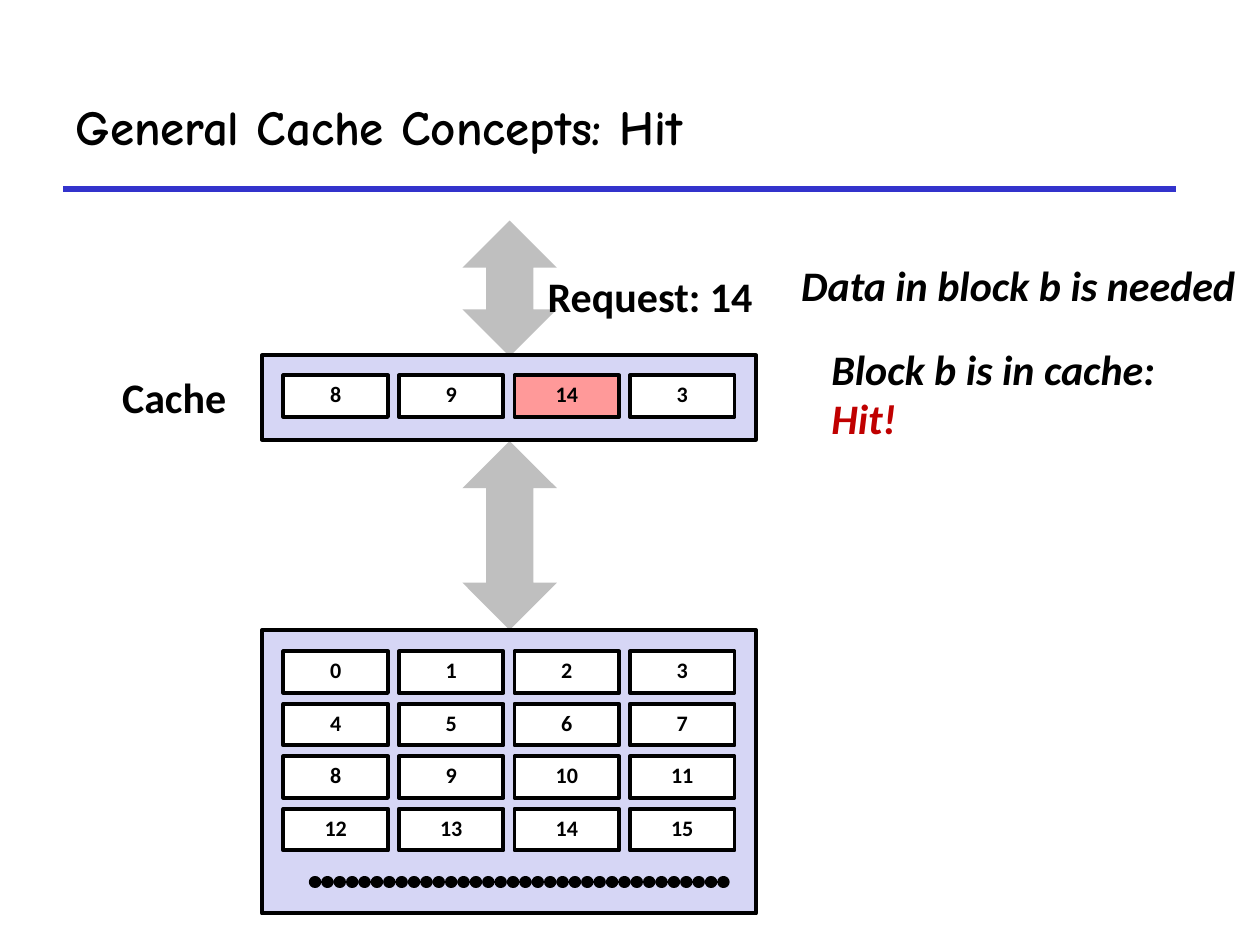
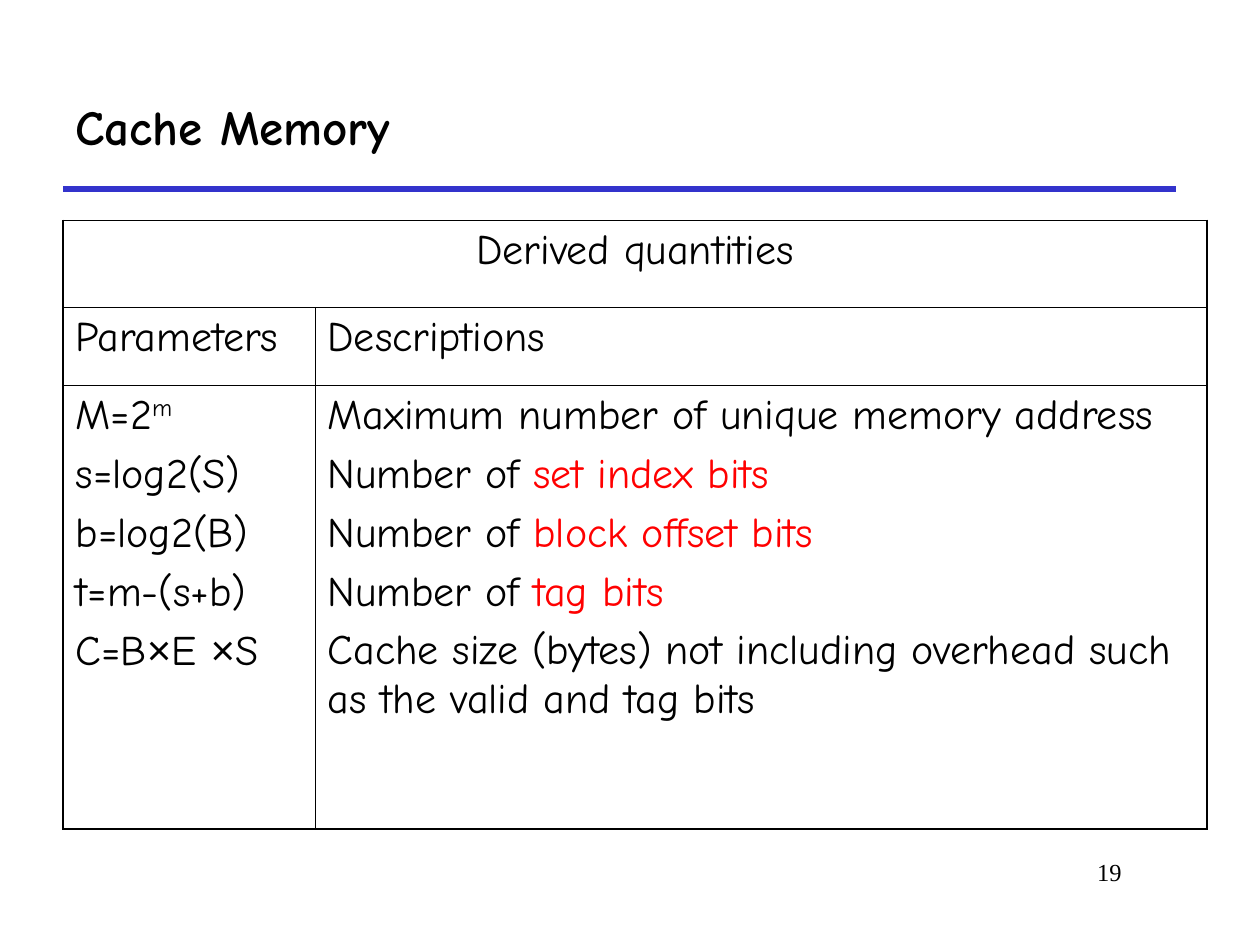
import pptx
import pptx.util
import pptx.dml.color
import pptx.enum.shapes
import pptx.enum.text
import pptx.oxml
import pptx.oxml.ns
from lxml import etree

Inches = pptx.util.Inches
Pt = pptx.util.Pt
RGBColor = pptx.dml.color.RGBColor
Shape = pptx.enum.shapes.MSO_SHAPE
Align = pptx.enum.text.PP_ALIGN
Anchor = pptx.enum.text.MSO_ANCHOR

COLORS = {
    "black": "000000", "white": "FFFFFF", "rule": "3333CC", "arrow": "BFBFBF",
    "memory": "D6D6F5", "hit_block": "FF9999", "hit_text": "C00000", "key_term": "FF0000",
}
TITLE_FONT = "Comic Neue"
DIAGRAM_FONT = "Calibri"


def write_text(frame, paragraphs, font=DIAGRAM_FONT, size=24, bold=False, italic=False,
               color="black", align=Align.LEFT, anchor=Anchor.TOP, line_spacing=None,
               space_before=0, wrap=True):
    """Fill a text frame; each paragraph is a string or a list of (text, changes)."""
    frame.word_wrap = wrap
    frame.vertical_anchor = anchor
    if isinstance(paragraphs, str):
        paragraphs = [paragraphs]
    for index, pieces in enumerate(paragraphs):
        paragraph = frame.add_paragraph() if index else frame.paragraphs[0]
        paragraph.alignment = align
        paragraph.space_before = Pt(space_before if index else 0)
        if line_spacing:
            paragraph.line_spacing = line_spacing
        for text, changes in [(pieces, {})] if isinstance(pieces, str) else pieces:
            run = paragraph.add_run()
            run.text = text
            run.font.name = changes.get("font", font)
            run.font.size = Pt(size)
            run.font.bold = bold
            run.font.italic = italic
            run.font.color.rgb = RGBColor.from_string(COLORS[changes.get("color", color)])
            if changes.get("superscript"):
                run._r.get_or_add_rPr().set("baseline", "30000")


def draw(slide, kind, left, top, width, height, fill=None, line_width=None):
    """Add a preset shape, or a straight line when kind is None."""
    if kind is None:
        shape = slide.shapes.add_connector(
            pptx.enum.shapes.MSO_CONNECTOR.STRAIGHT, Inches(left), Inches(top),
            Inches(left + width), Inches(top + height))
        etree.SubElement(shape.line._get_or_add_ln().getparent(), pptx.oxml.ns.qn("a:effectLst"))
        shape.line.color.rgb = RGBColor.from_string(COLORS[fill])
    else:
        shape = slide.shapes.add_shape(kind, Inches(left), Inches(top), Inches(width), Inches(height))
        shape.shadow.inherit = False
        shape.fill.solid()
        shape.fill.fore_color.rgb = RGBColor.from_string(COLORS[fill])
        if line_width:
            shape.line.color.rgb = RGBColor.from_string(COLORS["black"])
        else:
            shape.line.fill.background()
    if line_width:
        shape.line.width = Pt(line_width)
    return shape


presentation = pptx.Presentation()
presentation.slide_width = Inches(10)
presentation.slide_height = Inches(7.5)

# Title and rule shared by both slides
slides = []
for title_text in ("General Cache Concepts: Hit", "Cache Memory"):
    slide = presentation.slides.add_slide(presentation.slide_layouts[5])
    title = slide.shapes.title
    title.left, title.top = Inches(0.5), Inches(0.5)
    title.width, title.height = Inches(8.83), Inches(1)
    title.text_frame.auto_size = pptx.enum.text.MSO_AUTO_SIZE.NONE
    write_text(title.text_frame, title_text, font=TITLE_FONT, size=28, bold=True,
               anchor=Anchor.MIDDLE)
    draw(slide, None, 0.5, 1.5, 8.83, 0, "rule", 3)
    slides.append(slide)
hit_slide, table_slide = slides

# Transfer arrows above and below the cache
for top, height in ((1.75, 1.08), (3.5, 1.5)):
    draw(hit_slide, Shape.UP_DOWN_ARROW, 3.67, top, 0.75, height, "arrow")

# Memory and cache, each a panel with rows of four blocks
memory_rows = [range(first, first + 4) for first in range(0, 16, 4)]
for panel_top, panel_height, blocks_top, rows in (
        (5, 2.25, 5.17, memory_rows), (2.82, 0.67, 2.98, [(8, 9, 14, 3)])):
    draw(hit_slide, Shape.RECTANGLE, 2.08, panel_top, 3.92, panel_height, "memory", 2.25)
    for row, numbers in enumerate(rows):
        for column, number in enumerate(numbers):
            is_hit = len(rows) == 1 and number == 14
            block = draw(hit_slide, Shape.RECTANGLE, 2.25 + column * 2.75 / 3,
                         blocks_top + row * 1.25 / 3, 0.83, 0.33,
                         "hit_block" if is_hit else "white", 2.25)
            write_text(block.text_frame, str(number), size=12.6, bold=True,
                       align=Align.CENTER, anchor=Anchor.MIDDLE, line_spacing=0.8)

# Round dots for the remaining memory blocks
dots = draw(hit_slide, None, 2.5, 7, 3.33, 0, "black", 7)
dots_line = dots.line._get_or_add_ln()
dots_line.set("cap", "rnd")
dots_line.append(pptx.oxml.parse_xml(
    f'<a:custDash {pptx.oxml.ns.nsdecls("a")}><a:ds d="1000" sp="100000"/></a:custDash>'))

# Labels and explanations
remark = {"italic": True, "anchor": Anchor.MIDDLE, "line_spacing": 0.98}
for left, top, width, height, text, options in (
        (0.87, 2.9, 1.15, 0.5, "Cache", {}),
        (6.26, 2.03, 3.65, 0.49, "Data in block b is needed", remark),
        (4.24, 2.1, 1.84, 0.5, "Request: 14", {"align": Align.CENTER}),
        (6.5, 2.69, 2.77, 0.89,
         ["Block b is in cache:", [("Hit!", {"color": "hit_text"})]], remark)):
    label = hit_slide.shapes.add_textbox(Inches(left), Inches(top), Inches(width), Inches(height))
    write_text(label.text_frame, text, bold=True, wrap=False, **options)

# Table of derived quantities
key_term = {"color": "key_term"}
times = ("×", {"font": "Arial"})
formulas = [
    [("M=2", {}), ("m", {"superscript": True})],
    "s=log2(S)", "b=log2(B)", "t=m-(s+b)",
    [("C=B", {}), times, ("E ", {}), times, ("S", {})],
]
descriptions = ["Maximum number of unique memory address"]
for term in ("set index bits", "block offset bits", "tag bits"):
    descriptions.append([("Number of ", {}), (term, key_term)])
descriptions.append("Cache size (bytes) not including overhead such as the valid and tag bits")
cell_texts = [["Derived quantities", None], ["Parameters", "Descriptions"], [formulas, descriptions]]

table = table_slide.shapes.add_table(
    3, 2, Inches(0.5), Inches(1.75), Inches(9.08), Inches(4.83)).table
table.first_row = table.horz_banding = False
for column, width in zip(table.columns, (2, 7.08)):
    column.width = Inches(width)
for row, height in zip(table.rows, (0.69, 0.62, 3.52)):
    row.height = Inches(height)
table.cell(0, 0).merge(table.cell(0, 1))

for row, texts in enumerate(cell_texts):
    for column, text in enumerate(texts):
        cell = table.cell(row, column)
        outer_sides = {"L": column == 0, "R": column == 1 or row == 0,
                       "T": row == 0, "B": row == 2}
        properties = cell._tc.get_or_add_tcPr()
        for side, is_outer in outer_sides.items():
            properties.append(pptx.oxml.parse_xml(
                f'<a:ln{side} {pptx.oxml.ns.nsdecls("a")} w="{Pt(1.08 if is_outer else 0.45)}">'
                f'<a:solidFill><a:srgbClr val="{COLORS["black"]}"/></a:solidFill></a:ln{side}>'))
        cell.fill.background()
        if text:
            write_text(cell.text_frame, text, font=TITLE_FONT, space_before=6,
                       align=Align.LEFT if row else Align.CENTER)

# Page number
page_number = table_slide.shapes.add_textbox(Inches(7.58), Inches(6.75), Inches(1.42), Inches(0.5))
write_text(page_number.text_frame, "19", font="Times New Roman", size=14, align=Align.RIGHT)

presentation.save("out.pptx")
